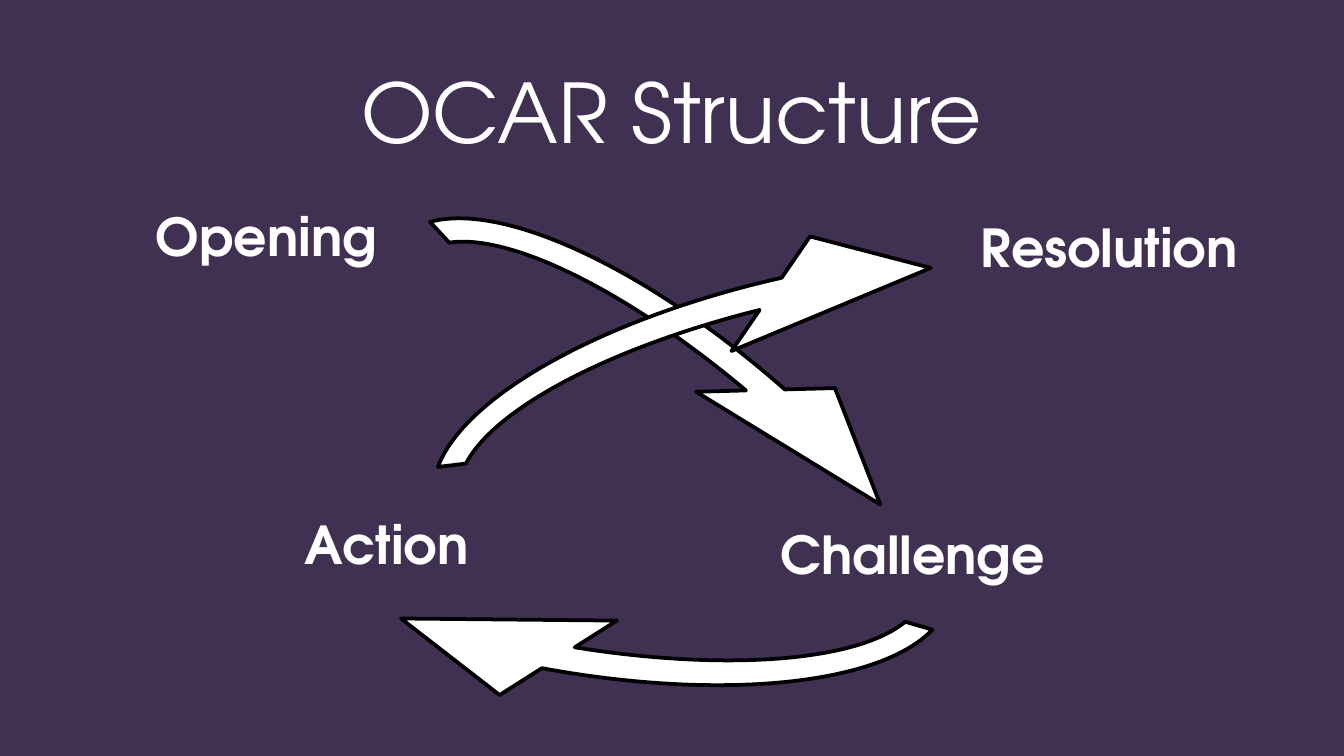
from pptx import Presentation
from pptx.dml.color import RGBColor
from pptx.enum.shapes import MSO_SHAPE
from pptx.enum.text import MSO_ANCHOR, MSO_AUTO_SIZE, PP_ALIGN
from pptx.util import Pt

COLORS = {"background": "403152", "white": "FFFFFF", "outline": "000000"}
FONT = "TeX Gyre Adventor"

LABEL_HEIGHT = 41.2
# text, left, top, width
LABELS = [
    ("Action", 156.2, 270.7, 113),
    ("Challenge", 411.1, 276.5, 169.9),
    ("Opening", 76.3, 105.8, 164.2),
    ("Resolution", 518.4, 111.6, 164.2),
]

ARROW_SIZE = (490.3, 218.9)
ARROW_ADJUSTMENTS = (0.064, 35.169, 154.611, 110.946, 0.17)
# left, top, rotation
ARROWS = [
    (128.2, 163.4, 42.2),   # Opening to Challenge
    (198, 115.2, 348.1),    # Action to Resolution
    (52.6, 169.2, 191.3),   # Challenge to Action
]


def color(name):
    return RGBColor.from_string(COLORS[name])


def add_text(slide, text, left, top, width, height, size, bold=False):
    box = slide.shapes.add_textbox(Pt(left), Pt(top), Pt(width), Pt(height))
    frame = box.text_frame
    frame.word_wrap = True
    frame.text = text
    paragraph = frame.paragraphs[0]
    paragraph.font.name = FONT
    paragraph.font.size = Pt(size)
    paragraph.font.bold = bold
    paragraph.font.color.rgb = color("white")
    return frame


def add_title(slide, text):
    frame = add_text(slide, text, 36, 25.2, 648, 67.7, 44)
    frame.vertical_anchor = MSO_ANCHOR.MIDDLE
    frame.paragraphs[0].alignment = PP_ALIGN.CENTER


def add_label(slide, text, left, top, width):
    frame = add_text(slide, text, left, top, width, LABEL_HEIGHT, 28, bold=True)
    frame.auto_size = MSO_AUTO_SIZE.SHAPE_TO_FIT_TEXT


def add_curved_arrow(slide, left, top, rotation):
    width, height = ARROW_SIZE
    arrow = slide.shapes.add_shape(
        MSO_SHAPE.CIRCULAR_ARROW, Pt(left), Pt(top), Pt(width), Pt(height))
    for index, value in enumerate(ARROW_ADJUSTMENTS):
        arrow.adjustments[index] = value
    arrow.rotation = rotation
    arrow.shadow.inherit = False
    arrow.fill.solid()
    arrow.fill.fore_color.rgb = color("white")
    arrow.line.color.rgb = color("outline")
    arrow.line.width = Pt(2)


def main():
    presentation = Presentation()
    presentation.slide_width, presentation.slide_height = Pt(720), Pt(405)
    slide = presentation.slides.add_slide(presentation.slide_layouts[6])
    slide.background.fill.solid()
    slide.background.fill.fore_color.rgb = color("background")

    # Title
    add_title(slide, "OCAR Structure")

    # Arrows between the stages
    for arrow in ARROWS:
        add_curved_arrow(slide, *arrow)

    # Stage names
    for label in LABELS:
        add_label(slide, *label)

    presentation.save("out.pptx")


if __name__ == "__main__":
    main()
